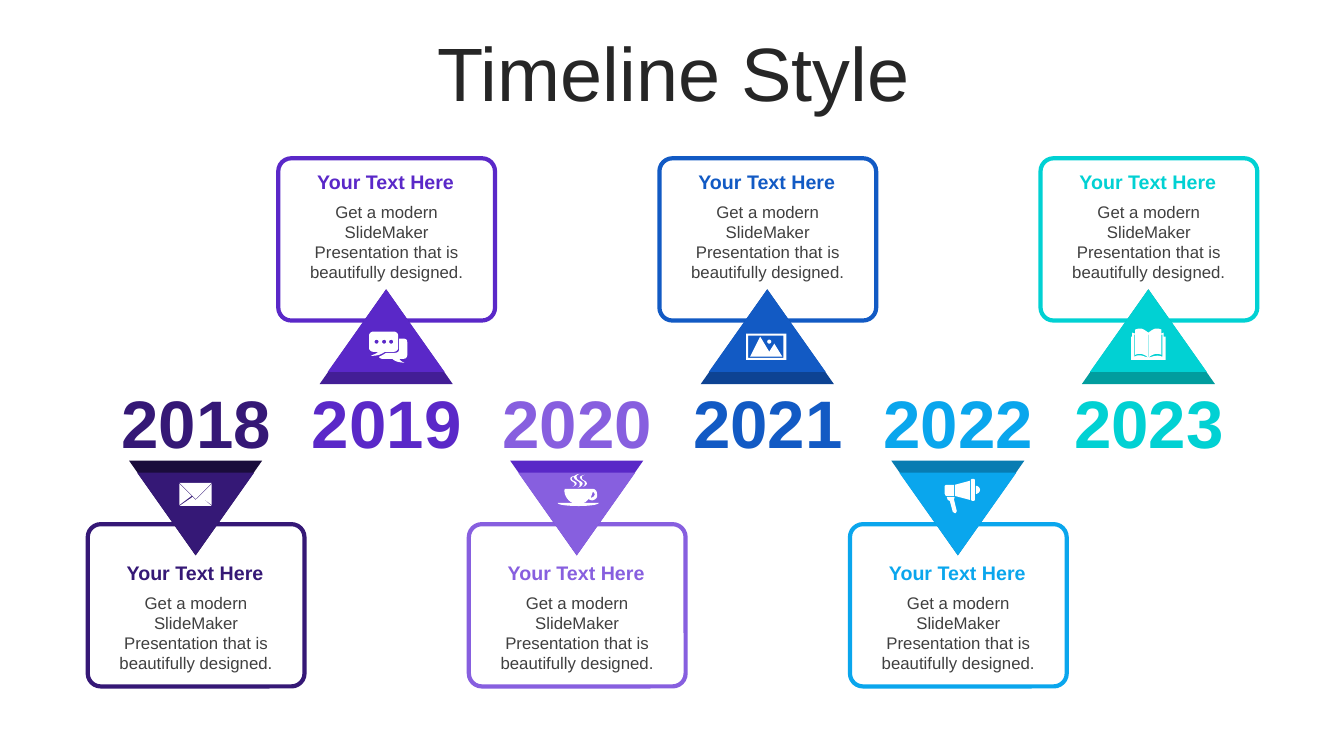
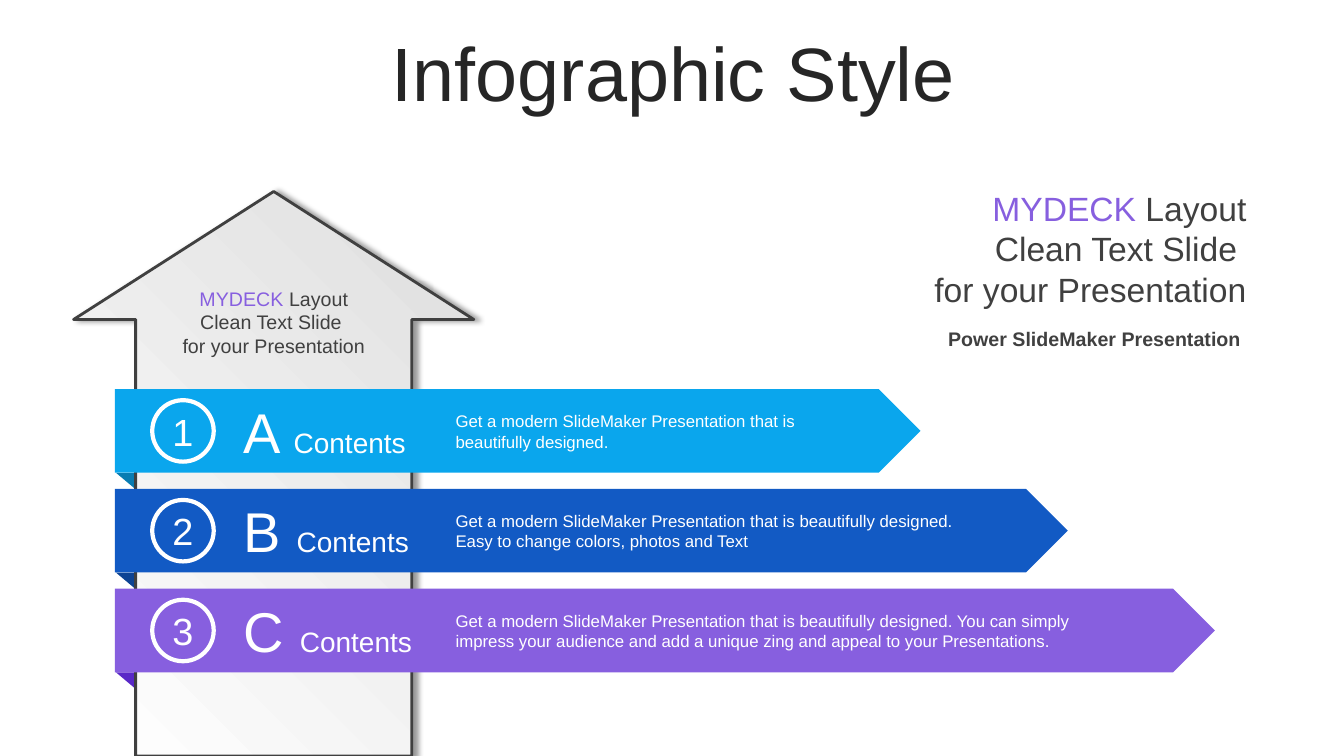
from collections import namedtuple
from math import cos, pi, sin

from lxml.etree import SubElement
from pptx import Presentation
from pptx.dml.color import RGBColor
from pptx.enum.shapes import MSO_SHAPE as Preset
from pptx.enum.text import MSO_ANCHOR as Anchor, PP_ALIGN as Align
from pptx.oxml.ns import qn
from pptx.util import Inches, Pt

# Shared look
FONT = "Arial"
WHITE = RGBColor(0xFF, 0xFF, 0xFF)
INK = RGBColor(0x26, 0x26, 0x26)
GRAY = RGBColor(0x40, 0x40, 0x40)
SILVER = RGBColor(0xDE, 0xDE, 0xDE)
INDIGO = RGBColor(0x35, 0x18, 0x76)
INDIGO_DARK = RGBColor(0x1A, 0x0C, 0x3B)
VIOLET = RGBColor(0x5A, 0x28, 0xC8)
VIOLET_DARK = RGBColor(0x43, 0x1E, 0x96)
LILAC = RGBColor(0x87, 0x5F, 0xDF)
LILAC_DARK = RGBColor(0x59, 0x28, 0xC7)
BLUE = RGBColor(0x12, 0x5A, 0xC4)
BLUE_DARK = RGBColor(0x0D, 0x43, 0x93)
SKY = RGBColor(0x0A, 0xA6, 0xED)
SKY_DARK = RGBColor(0x08, 0x7C, 0xB2)
TEAL = RGBColor(0x01, 0xD1, 0xD3)
TEAL_DARK = RGBColor(0x01, 0x9D, 0x9E)

# Icon outlines in hundredths of an inch from the pointer's corner.
# "x,y" is a line to a point, "C" takes three points of a curve,
# "O" takes a centre and a radius; later contours cut holes in earlier ones.
ENVELOPE = [
    "70,35 82,45 50,45 63,36 66,39",
    "82,23 82,44 70,35",
    "50,23 62,35 50,44",
    "50,22 82,22 66,38",
]
CHAT = [
    "79,49 83,49 C 86,49 87,50 87,53 87,65 C 87,67 86,69 83,69 79,69 "
    "C 80,70 80,71 84,73 C 77,72 76,72 72,69 62,69 C 61,69 59,68 59,67 "
    "C 61,66 63,65 66,63 75,63 C 78,63 79,61 79,59",
    "53,42 74,42 C 76,42 78,44 78,46 78,58 C 78,60 76,62 74,62 65,62 "
    "C 60,65 58,66 51,66 C 55,64 56,64 58,62 53,62 C 51,62 49,60 49,58 "
    "49,46 C 49,44 51,42 53,42",
    "O 56.5,52 2", "O 64,52 2", "O 71,52 2",
]
COFFEE = [
    "82,28 C 84,28 86,30 86,32 C 87,35 86,38 83,39 C 81,40 79,39 78,38 "
    "C 77,39 76,40 75,41 C 74,41 73,42 72,42 88,42 C 87,44 78,45 68,45 "
    "C 57,45 48,44 47,42 63,42 C 62,42 61,41 60,41 C 56,38 53,33 54,28",
    "82,31 C 81,33 81,35 80,36 C 80,37 81,37 82,36 C 83,36 84,34 84,33 "
    "C 83,32 83,31 82,31",
    "64,15 C 62,16 61,17 61,18 C 62,21 66,20 66,23 C 65,25 64,25 62,26 "
    "C 64,25 64,24 64,23 C 64,21 61,21 60,19 C 59,17 60,16 64,15",
    "74,14 C 72,15 71,15 71,17 C 71,20 77,20 76,23 C 76,24 75,25 72,26 "
    "C 74,25 74,24 74,22 C 74,20 71,20 70,18 C 68,16 70,15 74,14",
    "69,13 C 67,14 65,15 66,17 C 66,20 72,20 72,23 C 71,25 70,26 67,27 "
    "C 69,26 69,25 69,23 C 69,20 65,20 64,18 C 62,16 64,14 69,13",
]
PHOTO = [
    "45,44 85,44 85,70 45,70",
    "47,46 47,68 82,68 82,46",
    "59,47 68,62 73,54 81,67 49,67",
    "O 68,52 2",
]
MEGAPHONE = [
    "62,36 63,37 62,38 65,50 64,52 63,52 61,51 58,40 56,39 55,36",
    "84,25 C 86,25 88,27 88,29 C 88,31 86,33 84,33",
    "54,24 62,24 62,35 54,35 53,33 53,25",
    "78,20 78,39 63,35 63,24",
    "80,18 82,18 83,19 83,39 82,40 80,40 79,39 79,19",
]
BOOK = [
    "66,43 C 69,41 71,39 74,39 C 75,39 77,39 79,40 79,44 81,43 81,47 83,47 "
    "83,70 49,70 49,47 50,47 50,43 53,44 53,40 C 55,39 57,39 58,39 "
    "C 61,39 63,41 66,43",
    "66,68 C 72,66 75,65 80,67 80,45 79,45 79,65 C 75,63 70,64 66,68",
    "66,68 C 62,64 57,63 53,65 53,45 52,45 52,67 C 57,64 60,66 66,68",
    "65.8,45 66.2,45 66.2,67 65.8,67",
]

# Slide content
Milestone = namedtuple("Milestone", "year color dark icon")
MILESTONES = [
    Milestone("2018", INDIGO, INDIGO_DARK, ENVELOPE),
    Milestone("2019", VIOLET, VIOLET_DARK, CHAT),
    Milestone("2020", LILAC, LILAC_DARK, COFFEE),
    Milestone("2021", BLUE, BLUE_DARK, PHOTO),
    Milestone("2022", SKY, SKY_DARK, MEGAPHONE),
    Milestone("2023", TEAL, TEAL_DARK, BOOK),
]
PITCH = "Get a modern SlideMaker Presentation that is beautifully designed."
Ribbon = namedtuple("Ribbon", "letter color dark text")
RIBBONS = [
    Ribbon("A", SKY, SKY_DARK, PITCH),
    Ribbon("B", BLUE, BLUE_DARK,
           PITCH + " Easy to change colors, photos and Text"),
    Ribbon("C", LILAC, LILAC_DARK,
           PITCH + " You can simply impress your audience and add a unique "
           "zing and appeal to your Presentations."),
]
SLOGAN = [
    [("MYDECK", {"color": LILAC}), (" Layout", {})],
    "Clean Text Slide ",
    "for your Presentation",
]


def write(shape, lines, size=12, color=GRAY, bold=False, align=Align.CENTER,
          anchor=Anchor.TOP, spacing=None):
    """Fill a shape with lines; a line is a string or a list of (text, format)."""
    frame = shape.text_frame
    frame.word_wrap = True
    frame.vertical_anchor = anchor
    for index, line in enumerate(lines):
        para = frame.add_paragraph() if index else frame.paragraphs[0]
        para.alignment = align
        if spacing:
            para.line_spacing = spacing
        for text, own in [(line, {})] if isinstance(line, str) else line:
            span = para.add_run()
            span.text = text
            span.font.name = FONT
            span.font.size = Pt(own.get("size", size))
            span.font.bold = bold
            span.font.color.rgb = own.get("color", color)


def add_text(page, left, top, width, height, *lines, **style):
    box = page.shapes.add_textbox(
        Inches(left), Inches(top), Inches(width), Inches(height))
    write(box, lines, **style)


def paint(shape, fill=None, line=None, weight=3):
    shape.shadow.inherit = False
    if fill is None:
        shape.fill.background()
    else:
        shape.fill.solid()
        shape.fill.fore_color.rgb = fill
    if line is None:
        shape.line.fill.background()
    else:
        shape.line.color.rgb = line
        shape.line.width = Pt(weight)


def add_preset(page, kind, left, top, width, height, fill=None, line=None):
    shape = page.shapes.add_shape(
        kind, Inches(left), Inches(top), Inches(width), Inches(height))
    paint(shape, fill, line)
    return shape


def trace(contour):
    """Turn an outline string into a list of points."""
    words = contour.split()
    if words[0] == "O":
        x, y = map(float, words[1].split(","))
        radius = float(words[2])
        return [(x + radius * cos(step * pi / 8), y + radius * sin(step * pi / 8))
                for step in range(16)]
    points, controls = [], None
    for word in words:
        if word == "C":
            controls = [points[-1]]
            continue
        point = tuple(map(float, word.split(",")))
        if controls is None:
            points.append(point)
            continue
        controls.append(point)
        if len(controls) == 4:
            for step in range(1, 7):
                t = step / 6
                weights = ((1 - t) ** 3, 3 * t * (1 - t) ** 2,
                           3 * t * t * (1 - t), t ** 3)
                points.append(tuple(sum(w * c[axis] for w, c in zip(weights, controls))
                                    for axis in (0, 1)))
            controls = None
    return points


def add_icon(page, left, top, contours):
    builder = None
    for contour in contours:
        points = [(Inches(x / 100), Inches(y / 100)) for x, y in trace(contour)]
        if builder is None:
            builder = page.shapes.build_freeform(*points[0])
        else:
            builder.move_to(*points[0])
        builder.add_line_segments(points[1:], close=True)
    paint(builder.convert_to_shape(Inches(left), Inches(top)), WHITE)


def add_page(deck, title):
    page = deck.slides.add_slide(deck.slide_layouts[6])
    add_text(page, 0.35, 0.37, 12.66, 0.79, title, size=54, color=INK,
             anchor=Anchor.MIDDLE, spacing=0.9)
    return page


# Timeline slide
def add_pointer(page, left, top, item, upward):
    inner_top = top if upward else top + 0.12
    for inset, y, width, height, fill in ((0, top, 1.32, 0.94, item.dark),
                                          (0.08, inner_top, 1.16, 0.82, item.color)):
        triangle = add_preset(page, Preset.ISOSCELES_TRIANGLE,
                              left + inset, y, width, height, fill)
        triangle.rotation = 0 if upward else 180
    add_icon(page, left, top, item.icon)


def add_milestone(page, left, item, upward):
    card_top, text_top, pointer_top = (
        (1.57, 1.64, 2.87) if upward else (5.2, 5.52, 4.57))
    card = add_preset(page, Preset.ROUNDED_RECTANGLE, left, card_top, 2.15, 1.61,
                      WHITE, item.color)
    card.adjustments[0] = 0.08
    add_pointer(page, left + 0.41, pointer_top, item, upward)
    add_text(page, left + 0.13, 3.73, 1.89, 0.91, item.year, size=48,
             color=item.color, bold=True, anchor=Anchor.MIDDLE)
    add_text(page, left + 0.11, text_top, 1.91, 0.34, "Your Text Here", size=14,
             color=item.color, bold=True)
    add_text(page, left + 0.11, text_top + 0.31, 1.93, 0.91, PITCH)


def build_timeline(deck):
    page = add_page(deck, "Timeline Style")
    for index, item in enumerate(MILESTONES):
        add_milestone(page, 0.87 + 1.89 * index, item, upward=index % 2 == 1)


# Infographic slide
def add_arrow(page, left, top):
    arrow = add_preset(page, Preset.UP_ARROW, left, top, 3.97, 5.6)
    arrow.adjustments[0] = 0.69
    arrow.adjustments[1] = 0.32
    arrow.fill.gradient()
    arrow.fill.gradient_angle = 225
    for stop, color in zip(arrow.fill.gradient_stops, (SILVER, WHITE)):
        stop.color.rgb = color
    arrow.line.color.rgb = GRAY
    arrow.line.width = Pt(2)
    # Soft shadow to the right
    effects = arrow.element.spPr.find(qn("a:effectLst"))
    shadow = SubElement(effects, qn("a:outerShdw"), blurRad=str(Pt(4)),
                        dist=str(Pt(3)), dir="0", algn="l", rotWithShape="0")
    tint = SubElement(shadow, qn("a:srgbClr"), val="000000")
    SubElement(tint, qn("a:alpha"), val="40000")
    add_text(page, left + 0.76, top + 0.89, 2.45, 0.81, *SLOGAN, size=14,
             anchor=Anchor.MIDDLE)


def add_fold(page, left, top, color):
    fold = add_preset(page, Preset.RIGHT_TRIANGLE, left, top, 0.19, 0.16, color)
    fold.rotation = 180


def add_ribbon(page, left, top, index, item):
    extra = 1.46 * index
    add_preset(page, Preset.PENTAGON, left, top, 7.99 + extra, 0.83, item.color)
    badge = add_preset(page, Preset.OVAL, left + 0.37, top + 0.11, 0.61, 0.61,
                       line=WHITE)
    write(badge, [str(index + 1)], size=27, color=WHITE, anchor=Anchor.MIDDLE)
    add_text(page, left + 1.18, top + 0.03, 1.9, 0.77,
             [(item.letter + " ", {"size": 40}), ("Contents", {})],
             size=20, color=WHITE, align=Align.LEFT)
    add_text(page, left + 3.28, top + 0.17, 3.9 + extra, 0.5, item.text,
             color=WHITE, align=Align.LEFT)


def build_infographic(deck):
    page = add_page(deck, "Infographic Style")
    tops = [3.86 + 0.99 * index for index in range(len(RIBBONS))]
    for top, item in zip(tops, RIBBONS):
        add_fold(page, 1.15, top + 0.83, item.dark)
    add_arrow(page, 0.73, 1.9)
    for index, (top, item) in enumerate(zip(tops, RIBBONS)):
        add_ribbon(page, 1.14, top, index, item)
    # Slogan on the right
    add_text(page, 8.39, 1.81, 4.07, 1.31, *SLOGAN, size=24, align=Align.RIGHT,
             anchor=Anchor.MIDDLE)
    add_text(page, 8.39, 3.19, 4.07, 0.34, "Power SlideMaker Presentation ",
             size=14, bold=True, align=Align.RIGHT)


def main():
    deck = Presentation()
    deck.slide_width, deck.slide_height = Inches(13.33), Inches(7.5)
    build_timeline(deck)
    build_infographic(deck)
    deck.save("out.pptx")


if __name__ == "__main__":
    main()
